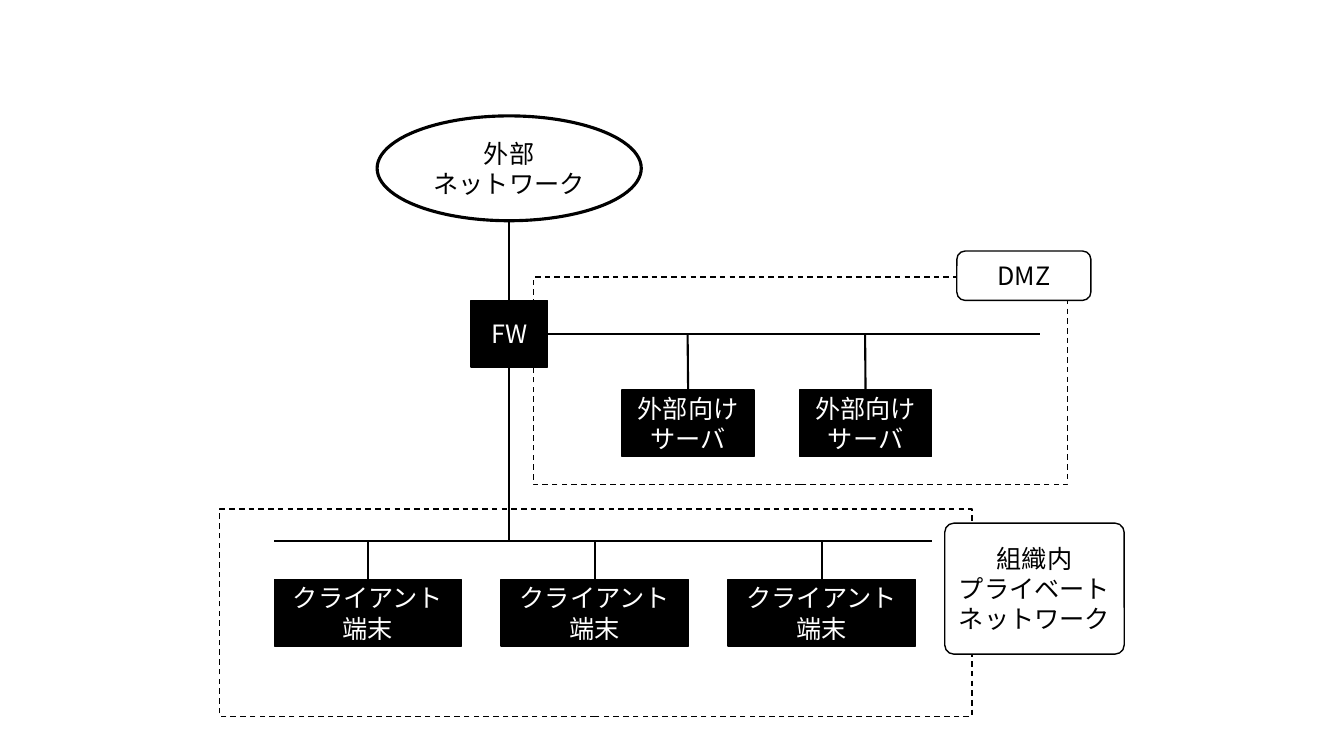
import pptx
import pptx.dml.color
import pptx.enum.dml
import pptx.enum.shapes
import pptx.enum.text
import pptx.oxml
import pptx.oxml.ns
import pptx.util

SCALE = 9144
FONT = "Noto Sans CJK JP"
BLACK, WHITE = "000000", "FFFFFF"
TOP, RIGHT, BOTTOM = 0, 3, 2
KIND = pptx.enum.shapes.MSO_SHAPE


def px(length):
    return pptx.util.Emu(round(length) * SCALE)


def colour(target, value):
    target.rgb = pptx.dml.color.RGBColor.from_string(value)


def apply(target, values):
    for name, value in values.items():
        setattr(target, name, value)


def outline(line, points):
    line.fill.solid()
    colour(line.fill.fore_color, BLACK)
    line.width = pptx.util.Pt(points)


def write(shape, words, ink):
    frame = shape.text_frame
    apply(frame, {
        "word_wrap": True,
        "vertical_anchor": pptx.enum.text.MSO_ANCHOR.MIDDLE,
    })
    para = frame.paragraphs[0]
    apply(para, {"text": words, "alignment": pptx.enum.text.PP_ALIGN.CENTER})
    for span in para.runs:
        apply(span.font, {"name": FONT, "size": pptx.util.Pt(18)})
        colour(span.font.color, ink)
        east_asian = pptx.oxml.parse_xml(
            f'<a:ea {pptx.oxml.ns.nsdecls("a")} typeface="{FONT}"/>')
        span.font.latin = None
        span.font._element.append(east_asian)


def add_box(page, box, words="", kind=KIND.RECTANGLE, fill=WHITE, ink=BLACK, points=1):
    shape = page.shapes.add_shape(kind, *map(px, box))
    shape.shadow.inherit = False
    shape.fill.solid()
    colour(shape.fill.fore_color, fill)
    outline(shape.line, points)
    if words:
        write(shape, words, ink)
    return shape


def add_node(page, box, words):
    return add_box(page, box, words, fill=BLACK, ink=WHITE)


def add_label(page, box, words, corner):
    label = add_box(page, box, words, KIND.ROUNDED_RECTANGLE)
    label.adjustments[0] = corner


def add_zone(page, box):
    zone = add_box(page, box)
    zone.line.dash_style = pptx.enum.dml.MSO_LINE.DASH


def add_link(page, start, end, source=None, target=None):
    link = page.shapes.add_connector(
        pptx.enum.shapes.MSO_CONNECTOR.STRAIGHT, *map(px, start + end))
    outline(link.line, 1.5)
    link._element.spPr.append(
        pptx.oxml.parse_xml(f'<a:effectLst {pptx.oxml.ns.nsdecls("a")}/>'))
    if source:
        link.begin_connect(*source)
    if target:
        link.end_connect(*target)


def add_hosts(page, box, pitch, count, words, bus):
    left, top, width, height = box
    for index in range(count):
        host_left = left + index * pitch
        host = add_node(page, (host_left, top, width, height), words)
        centre = host_left + width / 2
        add_link(page, (centre, bus), (centre, top), target=(host, TOP))


def build_gateway(page, box, private_bus):
    left, top, width, height = box
    centre = left + width / 2
    cloud_width, cloud_height, cloud_top = 262, 104, top - 183
    cloud_bottom = cloud_top + cloud_height
    firewall = add_node(page, box, "FW")
    add_box(page, (centre - cloud_width / 2, cloud_top, cloud_width, cloud_height),
            "外部\nネットワーク", KIND.OVAL, points=2.25)
    add_link(page, (centre, cloud_bottom), (centre, top), target=(firewall, TOP))
    add_link(page, (centre, top + height), (centre, private_bus), source=(firewall, BOTTOM))
    return firewall


def build_dmz(page, box, firewall, bus):
    left, top, width, height = box
    add_link(page, (left, bus), (left + 503, bus), source=(firewall, RIGHT))
    add_hosts(page, (left + 88, top + 112, 131, 66), 176, 2, "外部向けサーバ", bus)
    add_label(page, (left + width - 110, top - 26, 133, 49), "DMZ", 0.17)


def build_private_network(page, box, bus):
    left, top, width, height = box
    add_link(page, (left + 54, bus), (left + 706, bus))
    add_hosts(page, (left + 54, top + 70, 186, 66), 225, 3, "クライアント端末", bus)
    add_label(page, (left + width - 27, top + 14, 178, 130),
              "組織内\nプライベート\nネットワーク", 0.07)


def main():
    deck = pptx.Presentation()
    apply(deck, {"slide_width": px(1333), "slide_height": px(750)})
    page = deck.slides.add_slide(deck.slide_layouts[6])
    private_zone = (218, 505, 746, 206)
    dmz_zone = (529, 275, 530, 206)
    private_bus, dmz_bus = 537, 331
    for zone in (private_zone, dmz_zone):
        add_zone(page, zone)
    firewall = build_gateway(page, (467, 298, 76, 66), private_bus)
    build_dmz(page, dmz_zone, firewall, dmz_bus)
    build_private_network(page, private_zone, private_bus)
    deck.save("out.pptx")


if __name__ == "__main__":
    main()
